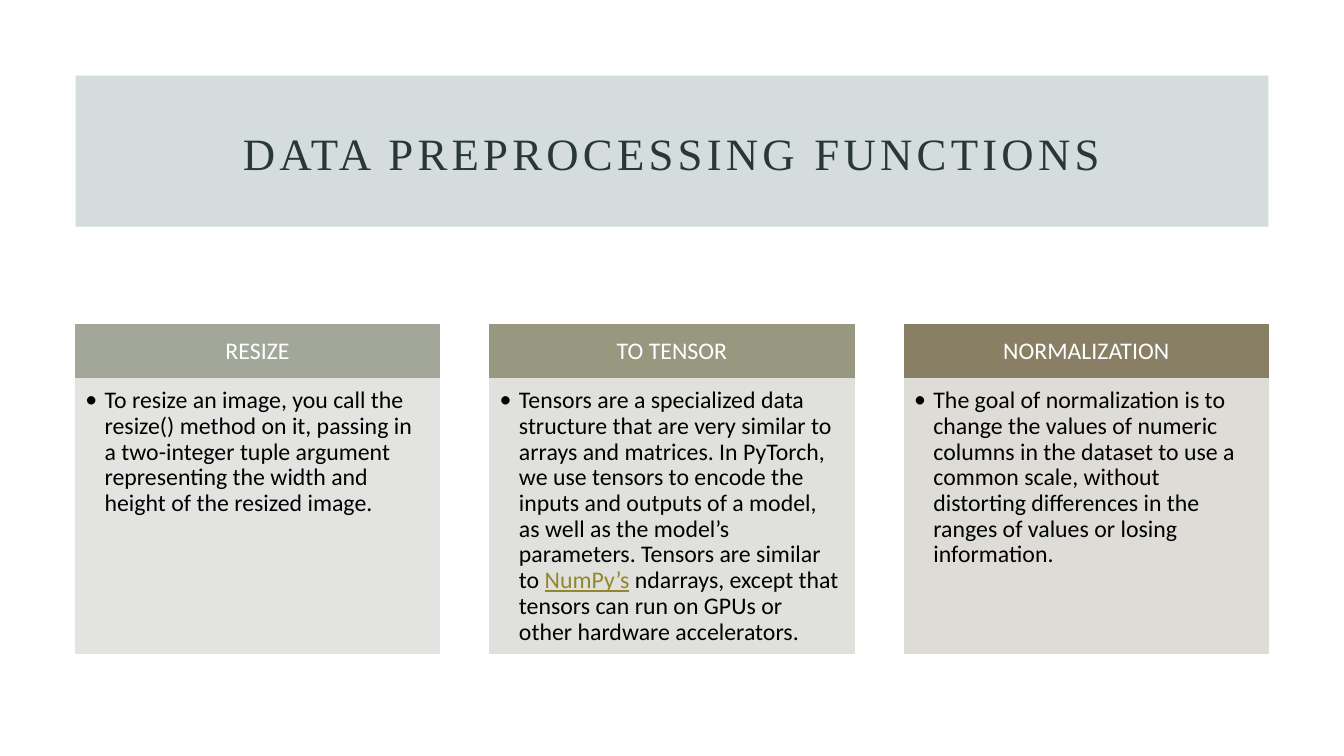
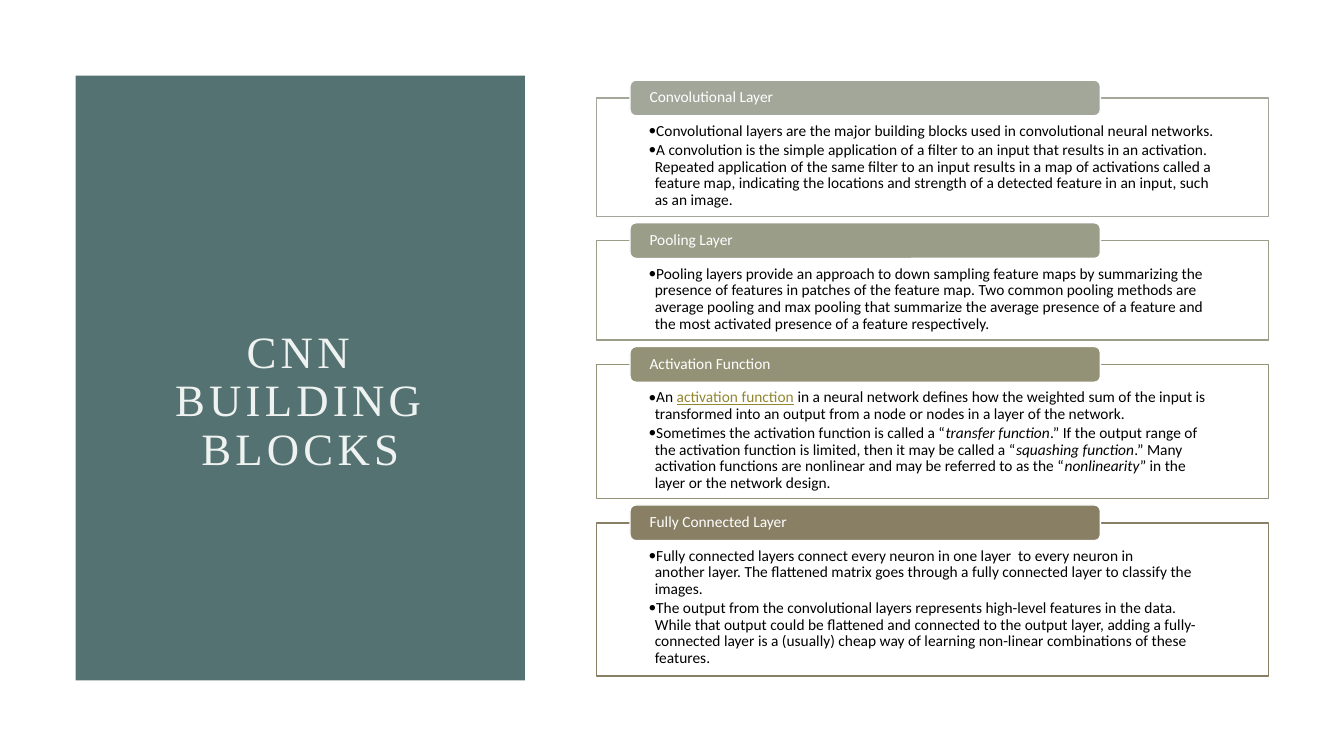
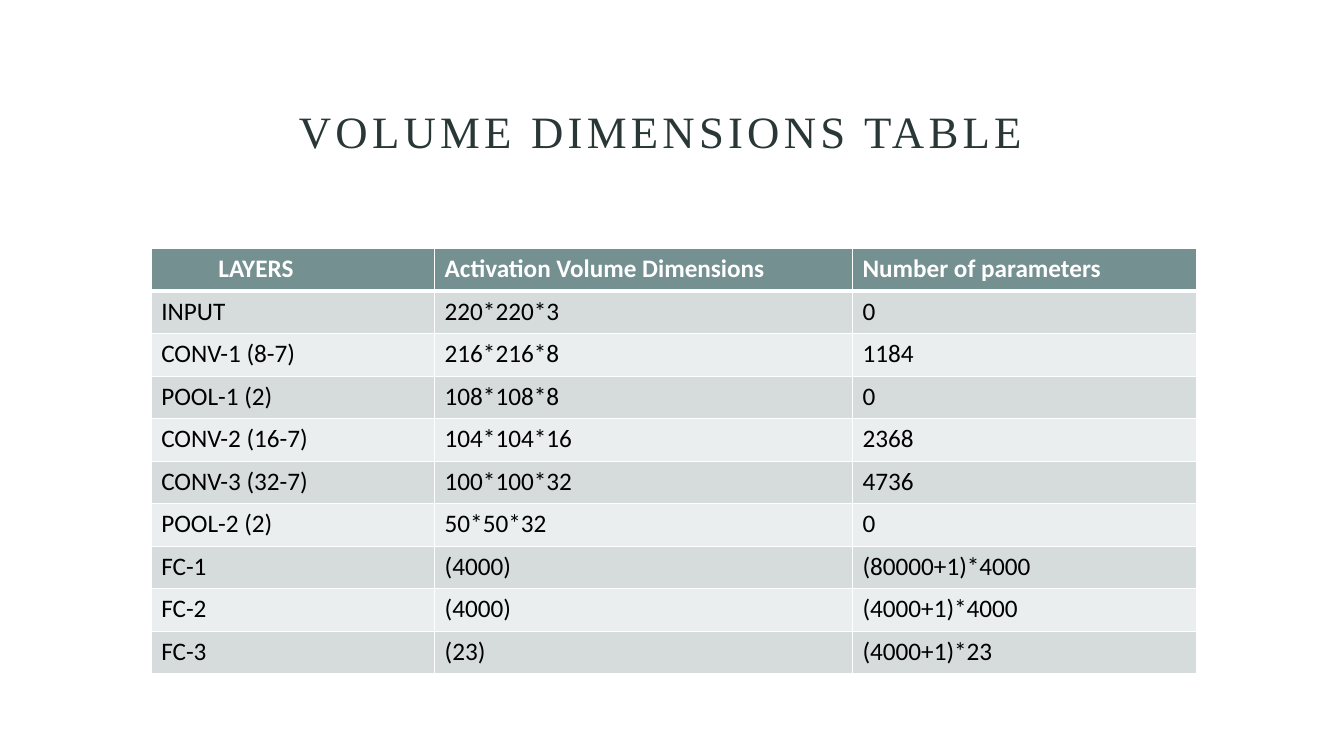
from collections.abc import Sequence
from dataclasses import dataclass

from lxml.etree import SubElement
from pptx import Presentation
from pptx.dml.color import RGBColor
from pptx.enum.shapes import MSO_SHAPE as Preset
from pptx.enum.text import MSO_ANCHOR as Anchor, MSO_AUTO_SIZE as AutoSize, PP_ALIGN as Align
from pptx.oxml.ns import qn
from pptx.util import Pt

COLORS = {
    "white": "FFFFFF",
    "black": "000000",
    "link": "92872F",
    "teal": "557272",
    "mist": "D4DCDC",
    "dark title": "293737",
    "light title": "EEF2F0",
    "sage": "A2A79A",
    "moss": "9A9D88",
    "olive": "97987F",
    "khaki": "949276",
    "earth": "897F65",
    "sage tint": "E3E4E1",
    "olive tint": "E0E0DC",
    "earth tint": "DEDCD7",
    "header row": "749090",
    "odd row": "D6DBDB",
    "even row": "EBEEEE",
}
BODY_FONT = "Calibri"
TITLE_FONT = "Times New Roman"
DEFAULT_INSETS = (7.2, 3.6, 7.2, 3.6)
HARD_SPACE = chr(160)


@dataclass(frozen=True)
class Span:
    text: str
    italic: bool = False
    link: bool = False


@dataclass(frozen=True)
class Box:
    left: float
    top: float
    width: float
    height: float

    def points(self) -> tuple:
        return Pt(self.left), Pt(self.top), Pt(self.width), Pt(self.height)


@dataclass(frozen=True)
class Card:
    heading: str
    color: str
    tint: str
    spans: Sequence[Span]


@dataclass(frozen=True)
class Block:
    heading: str
    color: str
    height: float
    points: Sequence[Sequence[Span]]


def rgb(name: str) -> RGBColor:
    return RGBColor.from_string(COLORS[name])


def add_panel(slide, box: Box, fill: str, line: str | None = None, preset=Preset.RECTANGLE):
    panel = slide.shapes.add_shape(preset, *box.points())
    panel.shadow.inherit = False
    panel.fill.solid()
    panel.fill.fore_color.rgb = rgb(fill)
    if line:
        panel.line.color.rgb = rgb(line)
        panel.line.width = Pt(1)
    else:
        panel.line.fill.background()
    return panel


def set_frame(frame, insets: Sequence[float], anchor) -> None:
    frame.word_wrap = True
    frame.auto_size = AutoSize.NONE
    frame.vertical_anchor = anchor
    frame.margin_left, frame.margin_top, frame.margin_right, frame.margin_bottom = map(Pt, insets)


def add_span(paragraph, span: Span, size: float, color: str, font: str = BODY_FONT):
    run = paragraph.add_run()
    run.text = span.text
    run.font.name = font
    run.font.size = Pt(size)
    run.font.italic = span.italic
    run.font.underline = span.link
    run.font.color.rgb = rgb("link" if span.link else color)
    return run


def write_heading(panel, heading: str, size: float, insets: Sequence[float], align) -> None:
    set_frame(panel.text_frame, insets, Anchor.MIDDLE)
    paragraph = panel.text_frame.paragraphs[0]
    paragraph.alignment = align
    paragraph.line_spacing = 0.9
    add_span(paragraph, Span(heading), size, "white")


def write_bullets(panel, points: Sequence[Sequence[Span]], size: float,
                  indent: float, insets: Sequence[float]) -> None:
    frame = panel.text_frame
    set_frame(frame, insets, Anchor.TOP)
    for index, spans in enumerate(points):
        paragraph = frame.add_paragraph() if index else frame.paragraphs[0]
        paragraph.alignment = Align.LEFT
        paragraph.line_spacing = 0.9
        paragraph.space_after = Pt(size * 0.15)
        properties = paragraph._p.get_or_add_pPr()
        properties.set("marL", str(Pt(indent)))
        properties.set("indent", str(-Pt(indent)))
        SubElement(properties, qn("a:buFont")).set("typeface", BODY_FONT)
        SubElement(properties, qn("a:buChar")).set("char", "•")
        for span in spans:
            add_span(paragraph, span, size, "black")


def add_titled_slide(deck, title: str, box: Box, color: str, align=Align.CENTER,
                     anchor=Anchor.MIDDLE, insets: Sequence[float] = DEFAULT_INSETS):
    slide = deck.slides.add_slide(deck.slide_layouts[5])
    heading = slide.shapes.title
    heading.left, heading.top, heading.width, heading.height = box.points()
    set_frame(heading.text_frame, insets, anchor)
    paragraph = heading.text_frame.paragraphs[0]
    paragraph.alignment = align
    paragraph.line_spacing = 0.9
    run = add_span(paragraph, Span(title), 32, color, TITLE_FONT)
    run._r.get_or_add_rPr().set("spc", "300")
    return slide


def add_title_band(slide, box: Box, fill: str) -> None:
    band = add_panel(slide, box, fill)
    slide.shapes.title._element.addprevious(band._element)


def set_borders(cell, top: float, bottom: float) -> None:
    properties = cell._tc.get_or_add_tcPr()
    sides = (("L", 1), ("R", 1), ("T", top), ("B", bottom))
    for position, (side, width) in enumerate(sides):
        border = SubElement(properties, qn(f"a:ln{side}"))
        border.set("w", str(Pt(width)))
        fill = SubElement(border, qn("a:solidFill"))
        SubElement(fill, qn("a:srgbClr")).set("val", COLORS["white"])
        properties.insert(position, border)


CARDS = (
    Card("RESIZE", "sage", "sage tint", (
        Span("To resize an image, you call the resize() method on it, passing in a two-integer "
             "tuple argument representing the width and height of the resized image."),)),
    Card("TO TENSOR", "olive", "olive tint", (
        Span("Tensors are a specialized data structure that are very similar to arrays and "
             "matrices. In PyTorch, we use tensors to encode the inputs and outputs of a model, "
             "as well as the model’s parameters. Tensors are similar to "),
        Span("NumPy’s", link=True),
        Span(" ndarrays, except that tensors can run on GPUs or other hardware accelerators."))),
    Card("NORMALIZATION", "earth", "earth tint", (
        Span("The goal of normalization is to change the values of numeric columns in the "
             "dataset to use a common scale, without distorting differences in the ranges of "
             "values or losing information."),)),
)

BLOCKS = (
    Block("Convolutional Layer", "sage", 84.5, (
        (Span("Convolutional layers are the major building blocks used in convolutional "
              "neural networks."),),
        (Span("A convolution is the simple application of a filter to an input that results in "
              "an activation. Repeated application of the same filter to an input results in a "
              "map of activations called a feature map, indicating the locations and strength "
              "of a detected feature in an input, such as an image."),))),
    Block("Pooling Layer", "moss", 71, (
        (Span("Pooling layers provide an approach to down sampling feature maps by summarizing "
              "the presence of features in patches of the feature map. Two common pooling "
              "methods are average pooling and max pooling that summarize the average presence "
              "of a feature and the most activated presence of a feature respectively."),),)),
    Block("Activation Function", "khaki", 95.75, (
        (Span("An "),
         Span("activation function", link=True),
         Span(" in a neural network defines how the weighted sum of the input is transformed "
              "into an output from a node or nodes in a layer of the network.")),
        (Span("Sometimes the activation function is called a “"),
         Span("transfer function", italic=True),
         Span(".” If the output range of the activation function is limited, then it may be "
              "called a “"),
         Span("squashing function", italic=True),
         Span(".” Many activation functions are nonlinear and may be referred to as the “"),
         Span("nonlinearity", italic=True),
         Span("” in the layer or the network design.")))),
    Block("Fully Connected Layer", "earth", 109.5, (
        (Span(f"Fully connected layers connect{HARD_SPACE}every neuron in one "
              f"layer{HARD_SPACE}{HARD_SPACE}to every neuron in another{HARD_SPACE}layer. "
              f"The flattened matrix goes through a{HARD_SPACE}fully connected "
              f"layer{HARD_SPACE}to classify the images."),),
        (Span("The output from the convolutional layers represents high-level features in the "
              "data. While that output could be flattened and connected to the output layer, "
              "adding a fully-connected layer is a (usually) cheap way of learning non-linear "
              "combinations of these features."),))),
)

COLUMN_WIDTHS = (202.5, 298.5, 246)
LAYER_ROWS = (
    ("LAYERS", "Activation Volume Dimensions", "Number of parameters"),
    ("INPUT", "220*220*3", "0"),
    ("CONV-1 (8-7)", "216*216*8", "1184"),
    ("POOL-1 (2)", "108*108*8", "0"),
    ("CONV-2 (16-7)", "104*104*16", "2368"),
    ("CONV-3 (32-7)", "100*100*32", "4736"),
    ("POOL-2 (2)", "50*50*32", "0"),
    ("FC-1", "(4000)", "(80000+1)*4000"),
    ("FC-2", "(4000)", "(4000+1)*4000"),
    ("FC-3", "(23)", "(4000+1)*23"),
)


def build_preprocessing(deck) -> None:
    slide = add_titled_slide(deck, "DATA PREPROCESSING FUNCTIONS",
                             Box(110, 75, 739.5, 73.5), "dark title")
    add_title_band(slide, Box(54, 54, 852, 108), "mist")
    width, gap = 260, 36
    for index, card in enumerate(CARDS):
        left = 54 + index * (width + gap)
        header = add_panel(slide, Box(left, 231.75, width, 38.5), card.color, card.color)
        write_heading(header, card.heading, 17, (9.5, 5.5, 9.5, 5.5), Align.CENTER)
        body = add_panel(slide, Box(left, 270.25, width, 196.5), card.tint, card.tint)
        write_bullets(body, (card.spans,), 17, 13.75, (7, 7, 9.5, 3))


def build_blocks(deck) -> None:
    slide = add_titled_slide(deck, "CNN BUILDING BLOCKS", Box(108, 108, 213, 324),
                             "light title", insets=(7.2, 38.2, 7.2, 3.6))
    add_title_band(slide, Box(54, 54, 321, 432), "teal")
    top, gap = 70, 17.4
    for block in BLOCKS:
        body = add_panel(slide, Box(426, top, 480, block.height), "white", block.color)
        write_bullets(body, block.points, 11, 4.5, (37.25, 18, 36.75, 3))
        tab = add_panel(slide, Box(450, top - 12.75, 336, 25.5), block.color, "white",
                        Preset.ROUNDED_RECTANGLE)
        write_heading(tab, block.heading, 11, (12.75, 0, 12.75, 0), Align.LEFT)
        top += block.height + gap


def build_dimensions(deck) -> None:
    slide = add_titled_slide(deck, "VOLUME DIMENSIONS TABLE", Box(108, 54, 747.5, 62.5),
                             "dark title", Align.LEFT, Anchor.BOTTOM, (105.5, 3.6, 7.2, 3.6))
    area = Box(108, 177.5, sum(COLUMN_WIDTHS), 304)
    table = slide.shapes.add_table(len(LAYER_ROWS), len(COLUMN_WIDTHS), *area.points()).table
    table.horz_banding = False
    for column, width in zip(table.columns, COLUMN_WIDTHS):
        column.width = Pt(width)
    for row, values in enumerate(LAYER_ROWS):
        is_header = row == 0
        fill = "header row" if is_header else "odd row" if row % 2 else "even row"
        table.rows[row].height = Pt(area.height / len(LAYER_ROWS))
        for column, value in enumerate(values):
            cell = table.cell(row, column)
            cell.fill.solid()
            cell.fill.fore_color.rgb = rgb(fill)
            set_borders(cell, 3 if row == 1 else 1, 3 if is_header else 1)
            run = add_span(cell.text_frame.paragraphs[0], Span(value), 18,
                           "white" if is_header else "black")
            run.font.bold = is_header
    table.cell(0, 0).margin_left = Pt(48)


def main() -> None:
    deck = Presentation()
    deck.slide_width, deck.slide_height = Pt(960), Pt(540)
    build_preprocessing(deck)
    build_blocks(deck)
    build_dimensions(deck)
    deck.save("out.pptx")


if __name__ == "__main__":
    main()
